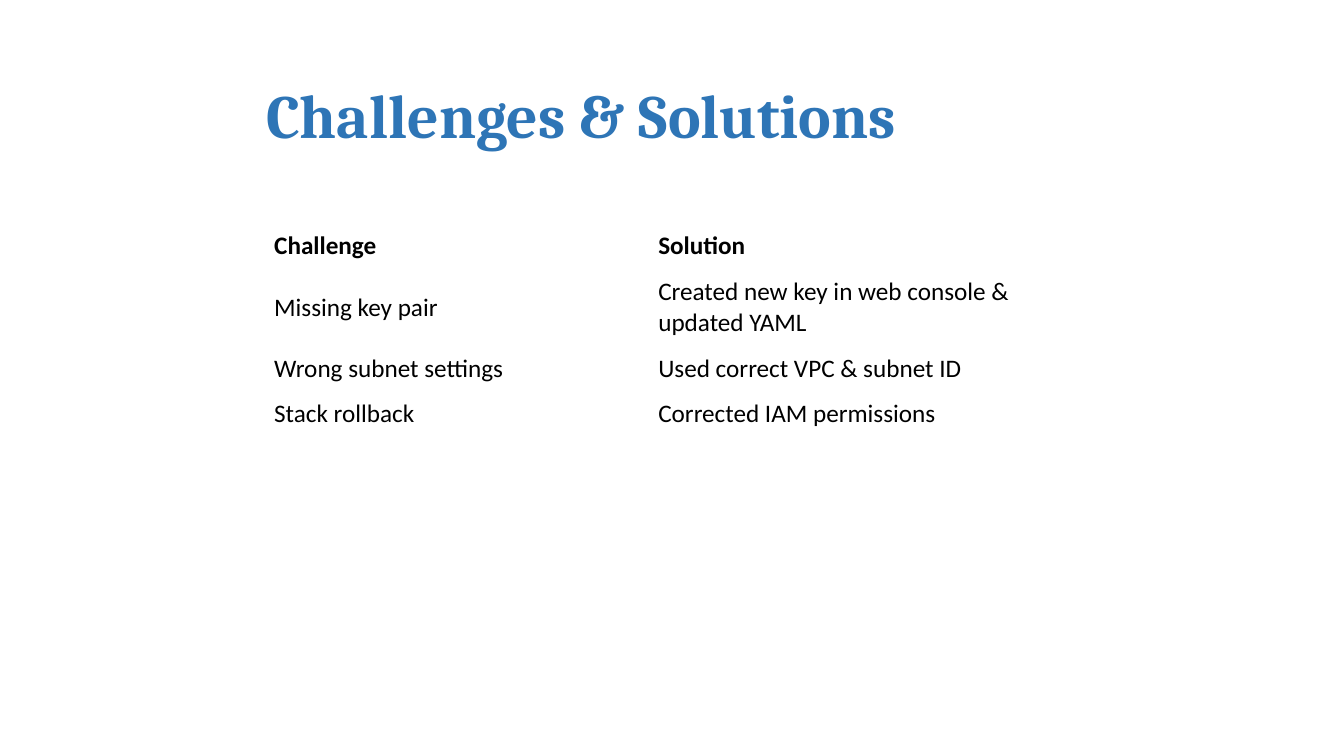
from dataclasses import dataclass

import pptx
import pptx.dml.color
import pptx.enum.text
import pptx.slide
import pptx.text.text
import pptx.util

Cm = pptx.util.Cm
RGBColor = pptx.dml.color.RGBColor
ANCHOR = pptx.enum.text.MSO_ANCHOR
BLUE = RGBColor(0x2E, 0x75, 0xB6)
BLACK = RGBColor(0x00, 0x00, 0x00)


@dataclass(frozen=True)
class Style:
    face: str
    size: int
    color: RGBColor
    bold: bool


@dataclass(frozen=True)
class Row:
    texts: tuple[str, str]
    height: float
    style: Style


TITLE = Style("Cambria", 44, BLUE, True)
HEAD = Style("Calibri", 18, BLACK, True)
BODY = Style("Calibri", 18, BLACK, False)

ROWS = (
    Row(("Challenge", "Solution"), 1.12, HEAD),
    Row(("Missing key pair", "Created new key in web console & updated YAML"), 1.98, BODY),
    Row(("Wrong subnet settings", "Used correct VPC & subnet ID"), 1.12, BODY),
    Row(("Stack rollback", "Corrected IAM permissions"), 1.12, BODY),
)


def write(frame: pptx.text.text.TextFrame, text: str, style: Style) -> None:
    frame.text = text
    line = frame.paragraphs[0]
    line.alignment = pptx.enum.text.PP_ALIGN.LEFT
    line.font.name = style.face
    line.font.size = pptx.util.Pt(style.size)
    line.font.color.rgb = style.color
    line.font.bold = style.bold


def add_title(slide: pptx.slide.Slide) -> None:
    title = slide.shapes.title
    title.left, title.top = Cm(6.45), Cm(1.02)
    title.width, title.height = Cm(25.1), Cm(3.68)
    frame = title.text_frame
    frame.auto_size = pptx.enum.text.MSO_AUTO_SIZE.NONE
    frame.vertical_anchor = ANCHOR.MIDDLE
    write(frame, "Challenges & Solutions", TITLE)


def add_grid(slide: pptx.slide.Slide, rows: tuple[Row, ...]) -> None:
    height = sum(row.height for row in rows)
    table = slide.shapes.add_table(
        len(rows), 2, Cm(6.78), Cm(5.64), Cm(19.36), Cm(height)
    ).table
    table.first_row = False
    table.horz_banding = False
    for line, row in zip(table.rows, rows):
        line.height = Cm(row.height)
        for cell, text in zip(line.cells, row.texts):
            cell.fill.background()
            cell.vertical_anchor = ANCHOR.MIDDLE
            cell.margin_left = cell.margin_right = Cm(0.13)
            cell.margin_top = cell.margin_bottom = Cm(0.05)
            write(cell.text_frame, text, row.style)


def main() -> None:
    deck = pptx.Presentation()
    deck.slide_width, deck.slide_height = Cm(33.87), Cm(19.05)
    slide = deck.slides.add_slide(deck.slide_layouts.get_by_name("Title Only"))
    add_title(slide)
    add_grid(slide, ROWS)
    deck.save("out.pptx")


if __name__ == "__main__":
    main()
